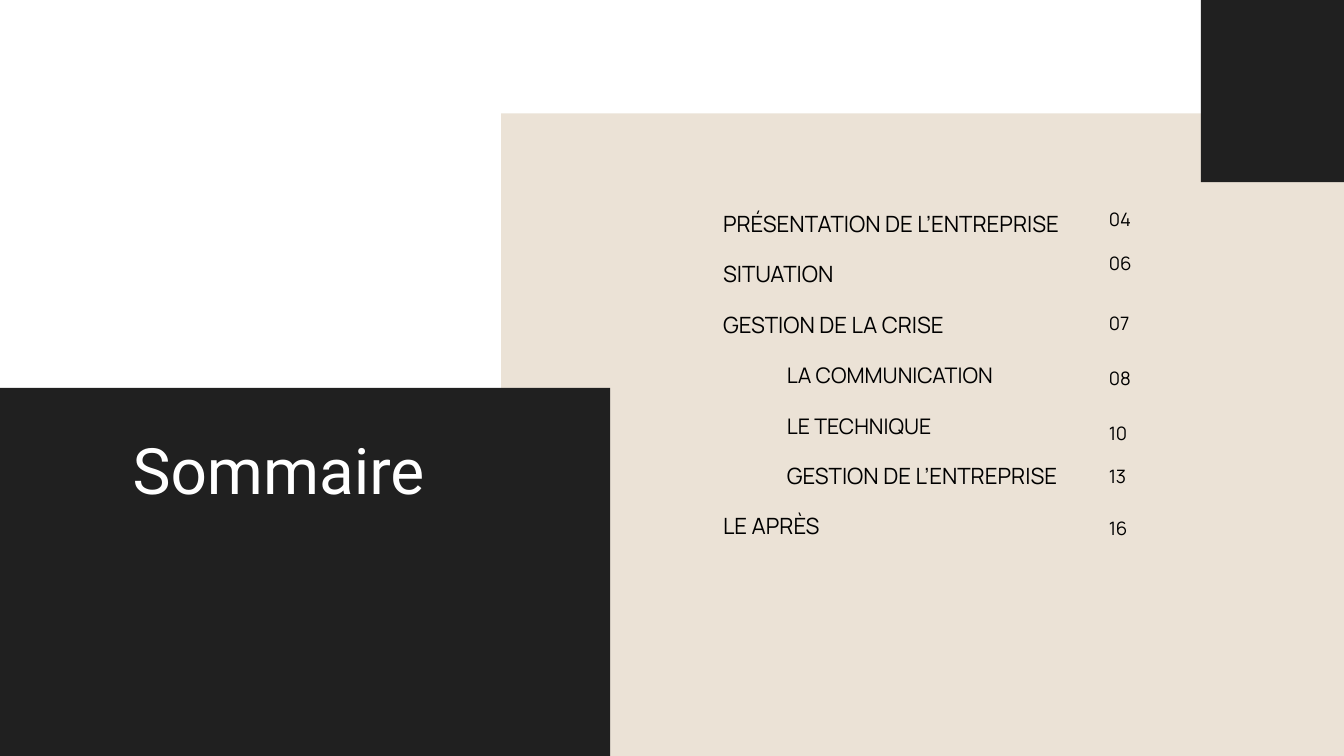
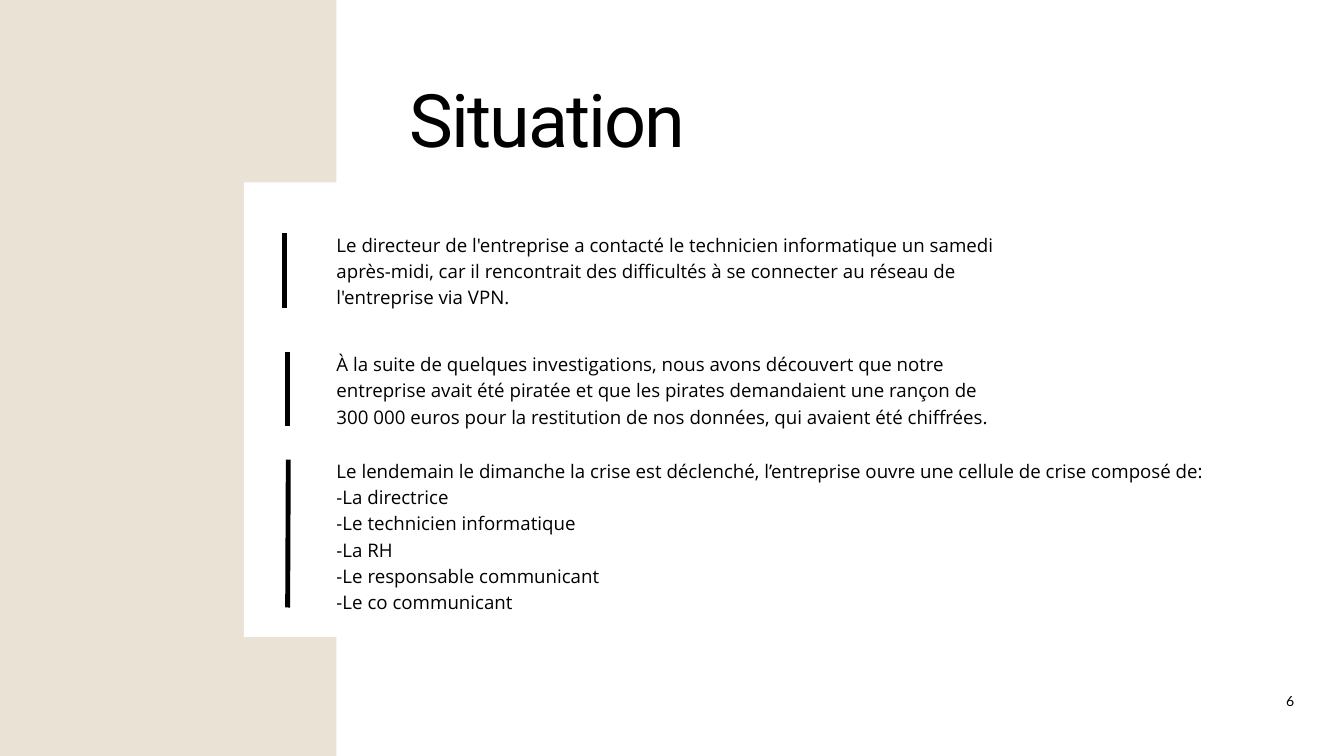
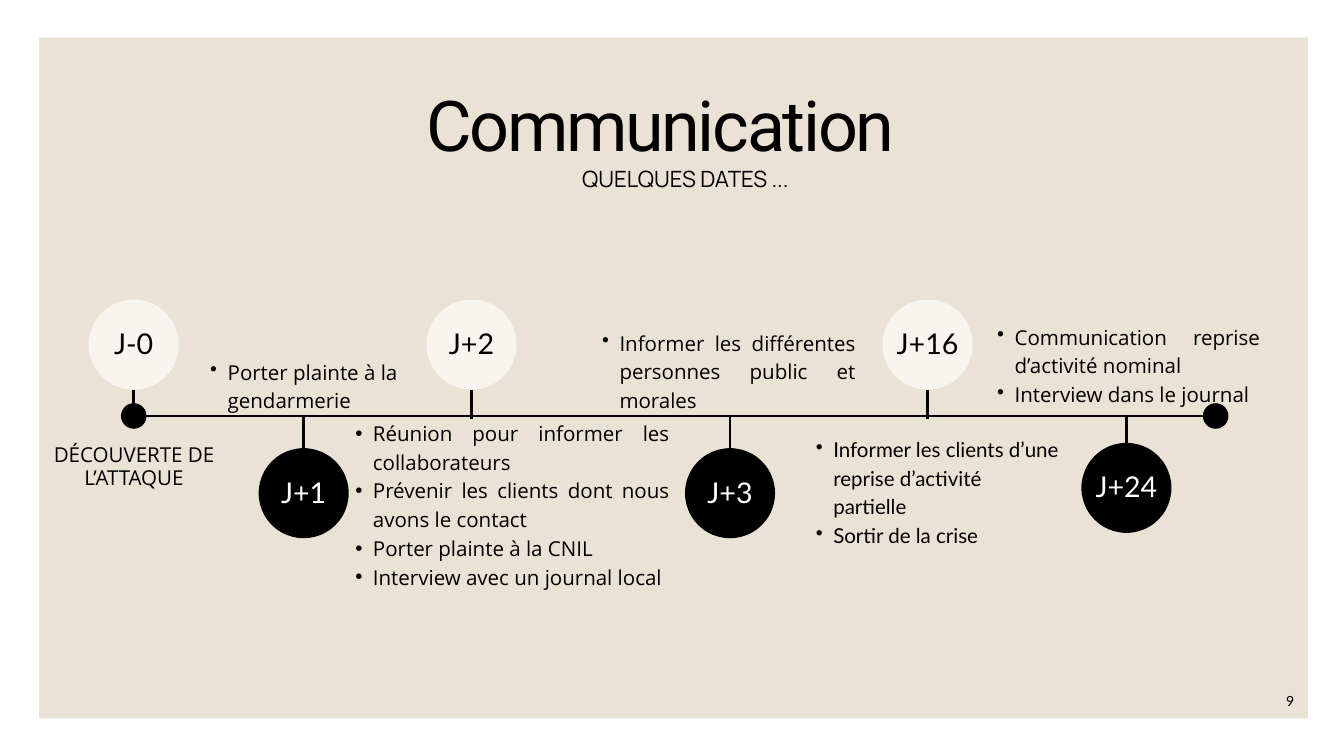
from dataclasses import dataclass, replace
from typing import NamedTuple

from lxml import etree
from pptx import Presentation
from pptx.dml.color import RGBColor
from pptx.enum.shapes import MSO_CONNECTOR, MSO_SHAPE
from pptx.enum.text import MSO_ANCHOR, MSO_AUTO_SIZE, PP_ALIGN
from pptx.oxml.ns import qn
from pptx.shapes.autoshape import Shape
from pptx.slide import Slide
from pptx.util import Pt

RECT, OVAL = MSO_SHAPE.RECTANGLE, MSO_SHAPE.OVAL
STRAIGHT = MSO_CONNECTOR.STRAIGHT
LEFT, CENTER, JUSTIFY = PP_ALIGN.LEFT, PP_ALIGN.CENTER, PP_ALIGN.JUSTIFY
TOP, MIDDLE = MSO_ANCHOR.TOP, MSO_ANCHOR.MIDDLE
NO_FIT = MSO_AUTO_SIZE.NONE

SAND = RGBColor(0xEB, 0xE2, 0xD6)
CREAM = RGBColor(0xF8, 0xF5, 0xF1)
COAL = RGBColor(0x20, 0x20, 0x20)
BLACK = RGBColor(0, 0, 0)
WHITE = RGBColor(0xFF, 0xFF, 0xFF)

WIDTH, HEIGHT = 1440, 810


class Box(NamedTuple):
    left: float
    top: float
    width: float
    height: float


@dataclass(frozen=True)
class Style:
    font: str
    size: float
    lead: float
    color: RGBColor = BLACK
    align: PP_ALIGN = LEFT
    track: float = 0
    inset: float = 0
    hang: float = 0
    gap: float = 0


HEAD = Style("Roboto", 79, 87.7, track=-2)
ITEM = Style("Manrope", 24, 33.6, gap=20.4)
PAGE = Style("Manrope", 19.8, 27.8)
PROSE = Style("Open Sans", 20, 28)
BULLET = Style("Open Sans", 22, 30.8, inset=37.4, hang=18.7)
BADGE = Style("Lato", 30.6, 33.9, align=CENTER)
NUMBER = Style("Lato", 15, 21, align=CENTER)

Row = tuple[str, Style]


def rows(style: Style, *texts: str) -> list[Row]:
    return [(text, style) for text in texts]


def fill(shape: Shape, lines: list[Row], anchor: MSO_ANCHOR = TOP, wrap: bool = True) -> None:
    """Write one formatted paragraph per row."""
    frame = shape.text_frame
    frame.text = "\n".join(text for text, _ in lines)
    frame.word_wrap, frame.auto_size = wrap, NO_FIT
    frame.vertical_anchor = anchor
    frame.margin_left = frame.margin_right = frame.margin_top = frame.margin_bottom = 0
    for para, (_, style) in zip(frame.paragraphs, lines):
        para.font.name, para.font.size = style.font, Pt(style.size)
        para.font.color.rgb = style.color
        para.alignment = style.align
        para.line_spacing = Pt(style.lead)
        para.space_before, para.space_after = Pt(0), Pt(style.gap)
    for font, (_, style) in zip(shape.element.iter(qn("a:defRPr")), lines):
        font.set("spc", str(round(style.track * 100)))
        props = font.getparent()
        props.set("marL", str(Pt(style.inset)))
        props.set("indent", str(-Pt(style.hang)))
        mark = etree.Element(qn("a:buChar" if style.hang else "a:buNone"))
        if style.hang:
            mark.set("char", "•")
        font.addprevious(mark)


def hold(slide: Slide, index: int, box: Box, lines: list[Row]) -> None:
    """Move a placeholder in front of the panels and fill it."""
    shape = slide.placeholders[index]
    shape.left, shape.top, shape.width, shape.height = map(Pt, box)
    slide.shapes.element.append(shape.element)
    fill(shape, lines)


def label(slide: Slide, box: Box, lines: list[Row], anchor: MSO_ANCHOR = TOP) -> None:
    fill(slide.shapes.add_textbox(*map(Pt, box)), lines, anchor)


def panel(slide: Slide, box: Box, color: RGBColor, kind: MSO_SHAPE = RECT) -> Shape:
    shape = slide.shapes.add_shape(kind, *map(Pt, box))
    shape.shadow.inherit = False
    shape.fill.solid()
    shape.fill.fore_color.rgb = color
    shape.line.fill.background()
    return shape


def rule(slide: Slide, x1: float, y1: float, x2: float, y2: float, weight: float) -> None:
    line = slide.shapes.add_connector(STRAIGHT, Pt(x1), Pt(y1), Pt(x2), Pt(y2))
    line.line.color.rgb = BLACK
    line.line.width = Pt(weight)
    etree.SubElement(line.element.spPr, qn("a:effectLst"))


def footer(slide: Slide, number: str) -> None:
    label(slide, Box(1365.8, 729.4, 33.1, 39.6), rows(NUMBER, number), MIDDLE)


def agenda(slide: Slide) -> None:
    panel(slide, Box(537, 121.5, WIDTH - 537, HEIGHT - 121.5), SAND)
    panel(slide, Box(0, 415.5, 653.8, HEIGHT - 415.5), COAL)
    panel(slide, Box(1286.6, 0, WIDTH - 1286.6, 195.1), COAL)
    title = Style("Roboto", 68.5, 95.9, WHITE, CENTER)
    hold(slide, 0, Box(59.8, 447.1, 477.4, 92.9), rows(title, "Sommaire"))

    sub = replace(ITEM, inset=68.4)
    small = replace(sub, size=23)
    hold(slide, 1, Box(774.7, 220.3, 395, 358), [
        ("PRÉSENTATION DE L’ENTREPRISE", ITEM),
        ("SITUATION", ITEM),
        ("GESTION DE LA CRISE", ITEM),
        ("LA COMMUNICATION", small),
        ("LE TECHNIQUE", small),
        ("GESTION DE L’ENTREPRISE", sub),
        ("LE APRÈS", ITEM),
    ])
    pages = {"04": 218.6, "06": 265.7, "07": 329.8, "08": 388.8,
             "10": 447.8, "13": 494.6, "16": 549.4}
    for page, top in pages.items():
        label(slide, Box(1188, top, 82.8, 28), rows(PAGE, page))


def story(slide: Slide) -> None:
    panel(slide, Box(0, 0, 360.5, HEIGHT), SAND)
    panel(slide, Box(261.4, 195.5, 829.4, 487), WHITE)
    rule(slide, 305.3, 249.8, 305.3, 329.8, 5.25)
    rule(slide, 308.2, 377.3, 308.2, 456.5, 5.25)
    rule(slide, 308.9, 492.5, 308.2, 650.9, 5.25)
    hold(slide, 0, Box(438.5, 86.4, 563, 88.6), rows(HEAD, "Situation"))
    label(slide, Box(360.5, 246.2, 716.4, 84), rows(
        PROSE,
        "Le directeur de l'entreprise a contacté le technicien informatique un samedi "
        "après-midi, car il rencontrait des difficultés à se connecter au réseau de "
        "l'entreprise via VPN."))
    label(slide, Box(360.5, 374.4, 716.4, 84), rows(
        PROSE,
        "À la suite de quelques investigations, nous avons découvert que notre "
        "entreprise avait été piratée et que les pirates demandaient une rançon de "
        "300 000 euros pour la restitution de nos données, qui avaient été chiffrées."))
    hold(slide, 1, Box(360.5, 488.9, 1020.2, 193.7), rows(
        replace(PROSE, align=JUSTIFY),
        "Le lendemain le dimanche la crise est déclenché, l’entreprise ouvre une "
        "cellule de crise composé de:",
        "-La directrice",
        "-Le technicien informatique",
        "-La RH",
        "-Le responsable communicant",
        "-Le co communicant"))
    footer(slide, "6")


AXIS = 445.7
DISC = 96.5
DOT = 27.4


class Event(NamedTuple):
    name: str
    mid: float
    top: float


EVENTS = [
    Event("J-0", 143.3, 321),
    Event("J+1", 325.4, 480.2),
    Event("J+2", 505.2, 321),
    Event("J+3", 782.2, 480.2),
    Event("J+16", 993.8, 321),
    Event("J+24", 1206.9, 474.5),
]


def mark(slide: Slide, event: Event) -> None:
    """Draw a dated disc and the stem that ties it to the axis."""
    above = event.top < AXIS
    edge = event.top + DISC if above else event.top
    rule(slide, event.mid, edge, event.mid, AXIS + 3 if above else AXIS, 3)
    disc = panel(slide, Box(event.mid - DISC / 2, event.top, DISC, DISC),
                 CREAM if above else BLACK, OVAL)
    style = replace(BADGE, color=BLACK if above else WHITE)
    fill(disc, rows(style, event.name), MIDDLE, wrap=False)


def dates(slide: Slide) -> None:
    panel(slide, Box(41.8, 40.3, 1359.4, 729.4), SAND)
    title = replace(HEAD, size=75.1, lead=105.2, track=-2.5, align=JUSTIFY)
    hold(slide, 0, Box(456.5, 72, 555.8, 98.6), rows(title, "Communication"))
    label(slide, Box(452.9, 172.1, 563, 32.4),
          rows(replace(ITEM, align=CENTER, gap=0), "QUELQUES DATES ..."))

    start, end = 143.3, 1302.5
    rule(slide, start, AXIS, end, AXIS, 3)
    for mid in (start, end):
        panel(slide, Box(mid - DOT / 2, AXIS - DOT / 2, DOT, DOT), BLACK, OVAL)
    for event in EVENTS:
        mark(slide, event)

    spread = replace(BULLET, align=JUSTIFY)
    label(slide, Box(51.1, 475.9, 185, 48.2),
          rows(Style("Open Sans", 22, 24.4, align=CENTER), "DÉCOUVERTE DE L’ATTAQUE"))
    label(slide, Box(206.6, 380.9, 290.9, 59.8),
          rows(BULLET, "Porter plainte à la gendarmerie"))
    hold(slide, 1, Box(362.2, 446.4, 355, 182.9), rows(
        spread,
        "Réunion pour informer les collaborateurs",
        "Prévenir les clients dont nous avons le contact",
        "Porter plainte à la CNIL",
        "Interview avec un journal local"))
    label(slide, Box(626.4, 349.9, 290.2, 90.7),
          rows(spread, "Informer les différentes personnes public et morales"))
    label(slide, Box(855.4, 463.7, 279.4, 122.4), rows(
        replace(BULLET, font="Lato"),
        "Informer les clients d’une reprise d’activité partielle",
        "Sortir de la crise"))
    label(slide, Box(1049.8, 343.4, 300.2, 90.7), rows(
        spread,
        "Communication reprise d’activité nominal",
        "Interview dans le journal"))
    footer(slide, "9")


def main() -> None:
    deck = Presentation()
    deck.slide_width, deck.slide_height = Pt(WIDTH), Pt(HEIGHT)
    for draw in (agenda, story, dates):
        draw(deck.slides.add_slide(deck.slide_layouts[1]))
    deck.save("out.pptx")


if __name__ == "__main__":
    main()
